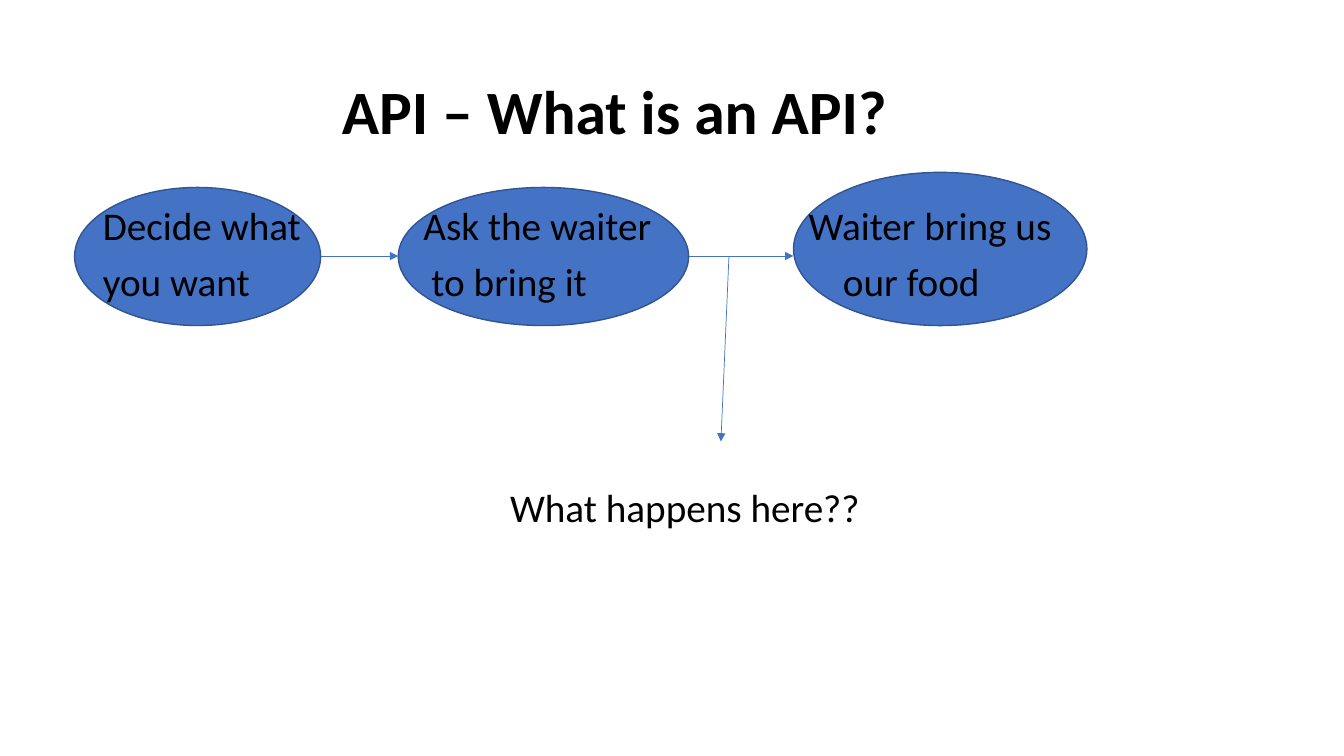
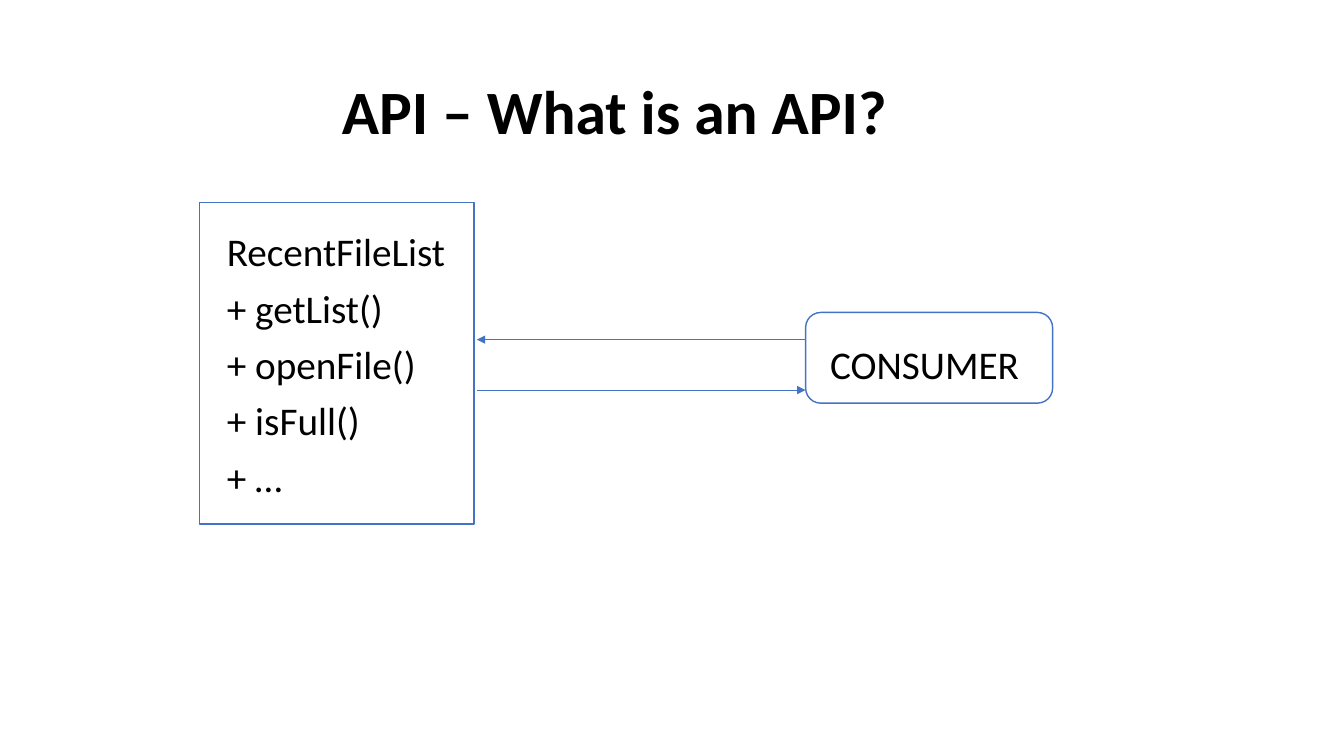
from lxml.etree import SubElement
from pptx import Presentation
from pptx.dml.color import RGBColor
from pptx.enum.shapes import MSO_CONNECTOR, MSO_SHAPE
from pptx.enum.text import MSO_ANCHOR, MSO_AUTO_SIZE, PP_ALIGN
from pptx.oxml.ns import qn
from pptx.util import Inches, Pt

BLUE, EDGE, WHITE, BLACK = "4472C4", "325491", "FFFFFF", "000000"
TITLE = "API – What is an API?"
HEAD = {"name": "Calibri", "size": Pt(44), "bold": True}
BODY = {"name": "Calibri", "size": Pt(28), "bold": False}
PARA = {"alignment": PP_ALIGN.LEFT, "line_spacing": 0.9}
STEPS = [
    ((0.74, 1.86, 2.44, 1.37), 1.02, ["Decide what", "you want"], 0),
    ((3.95, 1.86, 2.88, 1.37), 4.2, ["Ask the waiter", "to bring it"], 0.08),
    ((7.87, 1.71, 2.91, 1.52), 8.02, ["Waiter bring us", "our food"], 0.34),
]
CALLS = ["RecentFileList", "+ getList()", "+ openFile()", "+ isFull()", "+ …"]


def apply(item, values):
    for key, value in values.items():
        setattr(item, key, value)


def paint(part, code):
    if hasattr(part, "solid"):
        part.solid()
        part.fore_color.rgb = RGBColor.from_string(code)
    else:
        part.color.rgb = RGBColor.from_string(code)


def write(frame, lines, style, left=0, top=0, indent=0, anchor=MSO_ANCHOR.TOP):
    apply(frame, {
        "word_wrap": True, "auto_size": MSO_AUTO_SIZE.NONE,
        "vertical_anchor": anchor,
        "margin_left": Inches(left), "margin_top": Inches(top),
        "margin_right": 0, "margin_bottom": 0,
    })
    for row, line in enumerate(lines):
        para = frame.add_paragraph() if row else frame.paragraphs[0]
        apply(para, PARA)
        para.space_before = Pt(10 if row else 0)
        if row and indent:
            para._p.get_or_add_pPr().set("marL", str(Inches(indent)))
        run = para.add_run()
        run.text = line
        apply(run.font, style)
        paint(run.font, BLACK)


def start(deck):
    slide = deck.slides.add_slide(deck.slide_layouts[5])
    title = slide.shapes.title
    apply(title, {
        "left": Inches(3.29), "top": Inches(0.41),
        "width": Inches(9.5), "height": Inches(1.45),
    })
    write(title.text_frame, [TITLE], HEAD, left=0.1, anchor=MSO_ANCHOR.MIDDLE)
    return slide


def label(slide, box, lines, indent=0):
    text = slide.shapes.add_textbox(*map(Inches, box))
    write(text.text_frame, lines, BODY, indent=indent)


def shape(slide, kind, box, fill, line):
    form = slide.shapes.add_shape(kind, *map(Inches, box))
    form.shadow.inherit = False
    paint(form.fill, fill)
    paint(form.line, line)
    form.line.width = Pt(1)
    return form


def arrow(slide, *ends):
    link = slide.shapes.add_connector(MSO_CONNECTOR.STRAIGHT, *map(Inches, ends))
    paint(link.line, BLUE)
    link.line.width = Pt(0.5)
    SubElement(link.line._get_or_add_ln(), qn("a:tailEnd"), type="triangle")
    SubElement(link._element.spPr, qn("a:effectLst"))


def waiter(deck):
    slide = start(deck)
    for box, left, lines, indent in STEPS:
        shape(slide, MSO_SHAPE.OVAL, box, BLUE, EDGE)
        label(slide, (left, 2.05, 2.6, 1), lines, indent)
    for (here, *_), (there, *_) in zip(STEPS, STEPS[1:]):
        arrow(slide, here[0] + here[2], 2.54, there[0], 2.54)
    arrow(slide, 7.23, 2.54, 7.15, 4.38)
    label(slide, (5.06, 4.85, 4, 0.5), ["What happens here??"])


def client(deck):
    slide = start(deck)
    card = shape(slide, MSO_SHAPE.RECTANGLE, (1.98, 2.01, 2.72, 3.19), WHITE, BLUE)
    write(card.text_frame, CALLS, BODY, left=0.27, top=0.3)
    user = shape(slide, MSO_SHAPE.ROUNDED_RECTANGLE, (7.99, 3.1, 2.45, 0.9), WHITE, BLUE)
    write(user.text_frame, ["CONSUMER"], BODY, left=0.2, top=0.29)
    arrow(slide, 7.99, 3.37, 4.73, 3.37)
    arrow(slide, 4.73, 3.87, 7.99, 3.87)


def main():
    deck = Presentation()
    apply(deck, {"slide_width": Inches(13.33), "slide_height": Inches(7.5)})
    waiter(deck)
    client(deck)
    deck.save("out.pptx")


if __name__ == "__main__":
    main()
